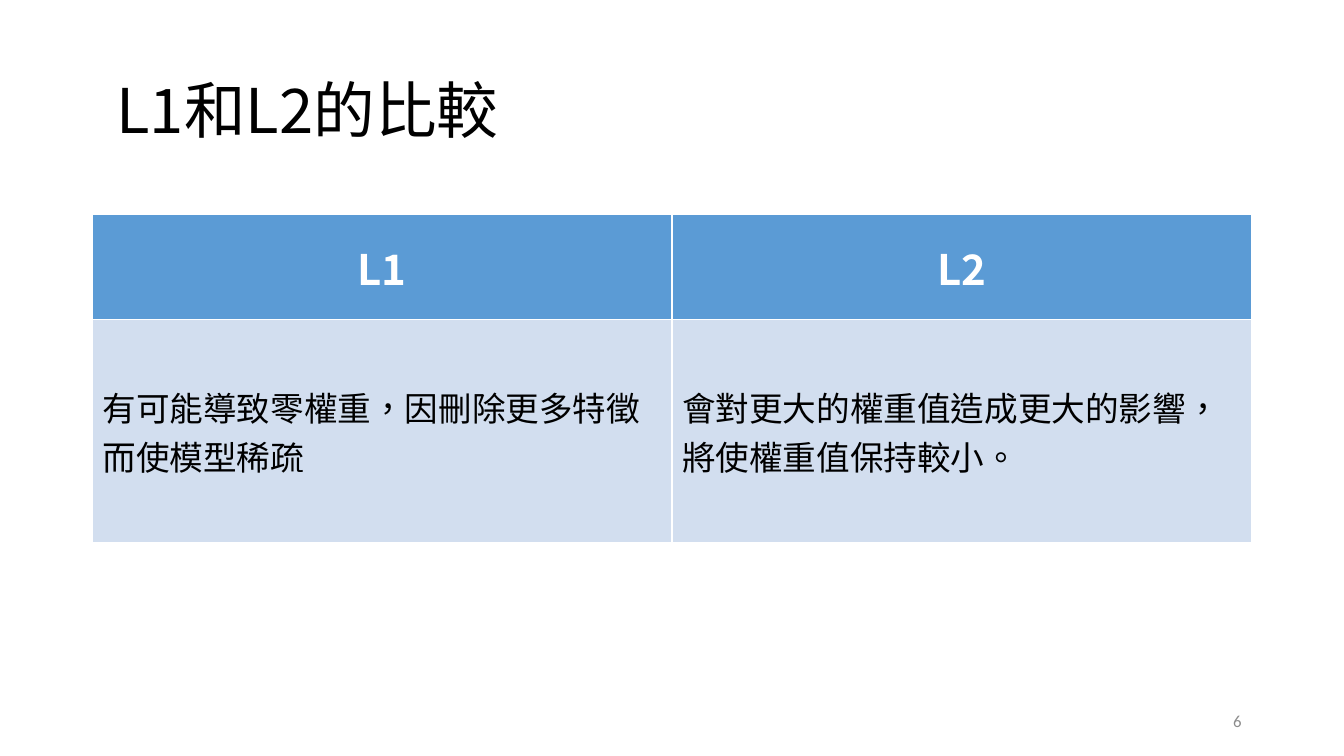
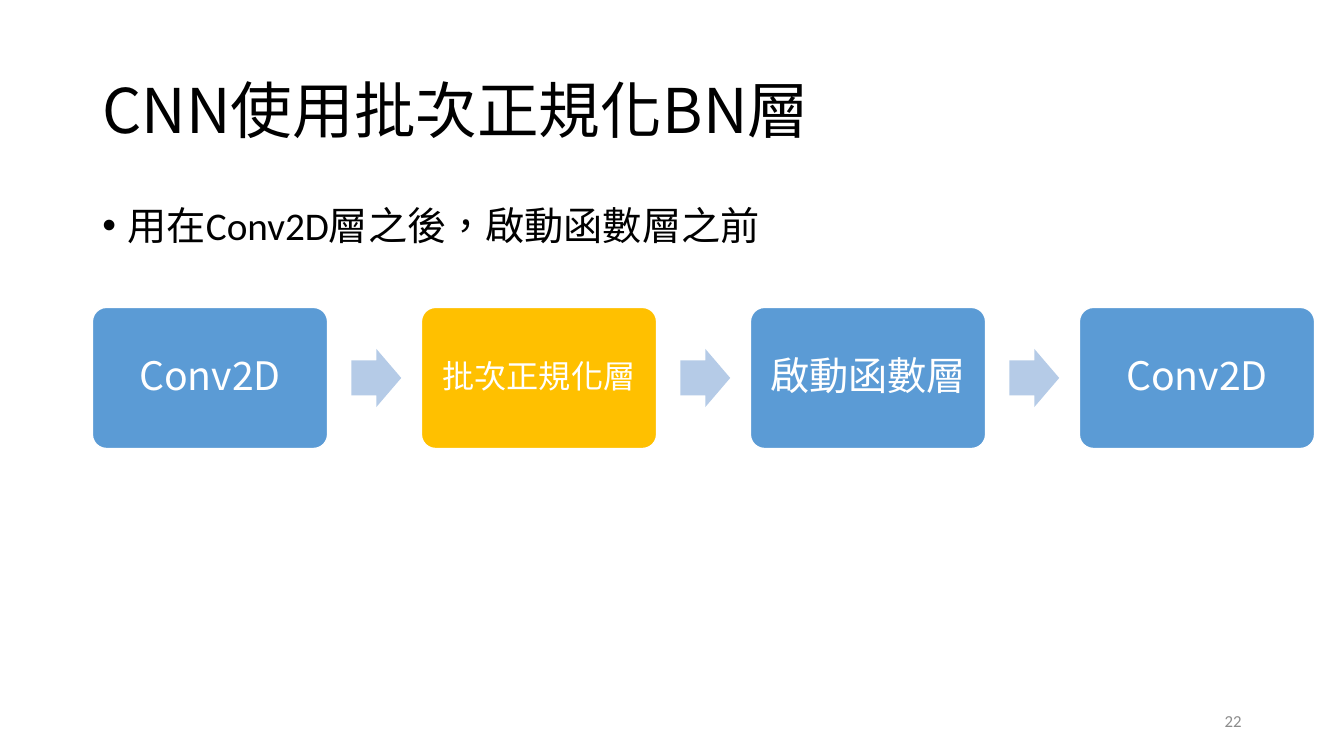
"""Two slides: a comparison table and a layer sequence."""
from lxml import etree
from pptx import Presentation
from pptx.dml import color as dml
from pptx.enum import lang, shapes, text
from pptx.oxml import ns
from pptx.util import Pt

CJK = "Noto Sans CJK SC"
LATIN = "Calibri"
BLUE, PALE_BLUE, ARROW_BLUE = "5B9BD5", "D2DEEF", "B5CBE7"
AMBER, GREY, BLACK, WHITE = "FFC000", "8C8C8C", "000000", "FFFFFF"
LEFT, CONTENT_WIDTH = 66, 828
TITLE_ONLY, TITLE_AND_BODY = 5, 1


def paint(color_format, value):
    """Apply a hex colour to a colour format."""
    color_format.rgb = dml.RGBColor.from_string(value)


def fill(target, value):
    """Give a shape or table cell a solid fill."""
    target.fill.solid()
    paint(target.fill.fore_color, value)


class Deck:
    """Holds the shared style and the current slide."""

    def __init__(self):
        """Start a widescreen presentation."""
        self.presentation = Presentation()
        self.presentation.slide_width = Pt(960)
        self.presentation.slide_height = Pt(540)
        self.slide = None

    def add_text(self, frame, words, size, color=BLACK, font=CJK, bold=False,
                 align=text.PP_ALIGN.LEFT, spacing=None):
        """Add one formatted run and return its paragraph."""
        paragraph = frame.paragraphs[0]
        paragraph.alignment = align
        paragraph.line_spacing = spacing
        run = paragraph.add_run()
        run.text = words
        run.font.size, run.font.bold, run.font.name = Pt(size), bold, font
        run.font.language_id = lang.MSO_LANGUAGE_ID.TRADITIONAL_CHINESE
        paint(run.font.color, color)
        properties = run._r.get_or_add_rPr()
        etree.SubElement(properties, ns.qn("a:ea"), typeface=CJK)
        return paragraph

    def place(self, shape, left, top, width, height):
        """Move and size a placeholder."""
        shape.left, shape.top = Pt(left), Pt(top)
        shape.width, shape.height = Pt(width), Pt(height)
        shape.text_frame.auto_size = text.MSO_AUTO_SIZE.NONE
        shape.text_frame.word_wrap = True

    def add_slide(self, layout, title, number, title_inset=7.2):
        """Add a slide with its title and page number."""
        layouts = self.presentation.slide_layouts
        self.slide = self.presentation.slides.add_slide(layouts[layout])
        heading = self.slide.shapes.title
        self.place(heading, LEFT, 28.8, CONTENT_WIDTH, 104.4)
        frame = heading.text_frame
        frame.vertical_anchor = text.MSO_ANCHOR.MIDDLE
        frame.margin_left = Pt(title_inset)
        self.add_text(frame, title, 44, spacing=0.9)
        self.page_number(number)

    def page_number(self, number):
        """Add the page number at the lower right."""
        box = self.slide.shapes.add_textbox(Pt(678), Pt(500.5), Pt(216), Pt(28.8))
        frame = box.text_frame
        frame.word_wrap = True
        frame.vertical_anchor = text.MSO_ANCHOR.MIDDLE
        self.add_text(frame, str(number), 12, GREY, LATIN, align=text.PP_ALIGN.RIGHT)

    def bullet(self, words):
        """Fill the body placeholder with one bullet."""
        body = self.slide.placeholders[1]
        self.place(body, LEFT, 143.75, CONTENT_WIDTH, 342.6)
        paragraph = self.add_text(body.text_frame, words, 28, font=LATIN, spacing=0.9)
        paragraph.space_before = Pt(10)
        properties = paragraph._p.get_or_add_pPr()
        properties.set("marL", str(Pt(18)))
        properties.set("indent", str(-Pt(18)))
        etree.SubElement(properties, ns.qn("a:buChar"), char="•")

    def table(self, top, rows, heights):
        """Add a table with a bold centred header row."""
        frame = self.slide.shapes.add_table(
            len(rows), len(rows[0]), Pt(LEFT), Pt(top),
            Pt(CONTENT_WIDTH), Pt(sum(heights)))
        grid = frame.table
        header = dict(size=30, color=WHITE, bold=True, align=text.PP_ALIGN.CENTER)
        for row_index, (row, height) in enumerate(zip(rows, heights)):
            grid.rows[row_index].height = Pt(height)
            style = {"size": 24} if row_index else header
            for column_index, words in enumerate(row):
                cell = grid.cell(row_index, column_index)
                cell.vertical_anchor = text.MSO_ANCHOR.MIDDLE
                fill(cell, PALE_BLUE if row_index else BLUE)
                self.add_text(cell.text_frame, words, **style)

    def shape(self, kind, left, top, width, height, color, adjustments):
        """Add a flat preset shape without an outline."""
        shape = self.slide.shapes.add_shape(
            kind, Pt(left), Pt(top), Pt(width), Pt(height))
        shape.shadow.inherit = False
        fill(shape, color)
        shape.line.fill.background()
        for index, value in enumerate(adjustments):
            shape.adjustments[index] = value
        return shape

    def layer(self, left, top, width, height, words, size, color):
        """Add a rounded box that names a network layer."""
        box = self.shape(shapes.MSO_SHAPE.ROUNDED_RECTANGLE,
                         left, top, width, height, color, [0.1])
        box.line.width = Pt(1)
        box.line.fill.solid()
        paint(box.line.color, WHITE)
        frame = box.text_frame
        frame.word_wrap = True
        frame.vertical_anchor = text.MSO_ANCHOR.MIDDLE
        self.add_text(frame, words, size, WHITE, align=text.PP_ALIGN.CENTER, spacing=0.9)

    def sequence(self, layers):
        """Lay out layers from left to right with arrows between them."""
        top, width, height, pitch = 219.6, 168, 100.8, 235
        arrow_width, arrow_height = 35.6, 41.6
        for index, (words, size, color) in enumerate(layers):
            left = LEFT + index * pitch
            if index:
                self.shape(shapes.MSO_SHAPE.RIGHT_ARROW, left - 50,
                           top + (height - arrow_height) / 2,
                           arrow_width, arrow_height, ARROW_BLUE, [0.6, 0.5])
            self.layer(left, top, width, height, words, size, color)


deck = Deck()

deck.add_slide(TITLE_ONLY, "L1和L2的比較", 6, title_inset=17.2)
deck.table(153.5, [
    ["L1", "L2"],
    ["有可能導致零權重，因刪除更多特徵而使模型稀疏",
     "會對更大的權重值造成更大的影響，將使權重值保持較小。"],
], [75, 159])

deck.add_slide(TITLE_AND_BODY, "CNN使用批次正規化BN層", 22)
deck.bullet("用在Conv2D層之後，啟動函數層之前")
deck.sequence([
    ("Conv2D", 28, BLUE),
    ("批次正規化層", 23, AMBER),
    ("啟動函數層", 28, BLUE),
    ("Conv2D", 28, BLUE),
])

deck.presentation.save("out.pptx")
